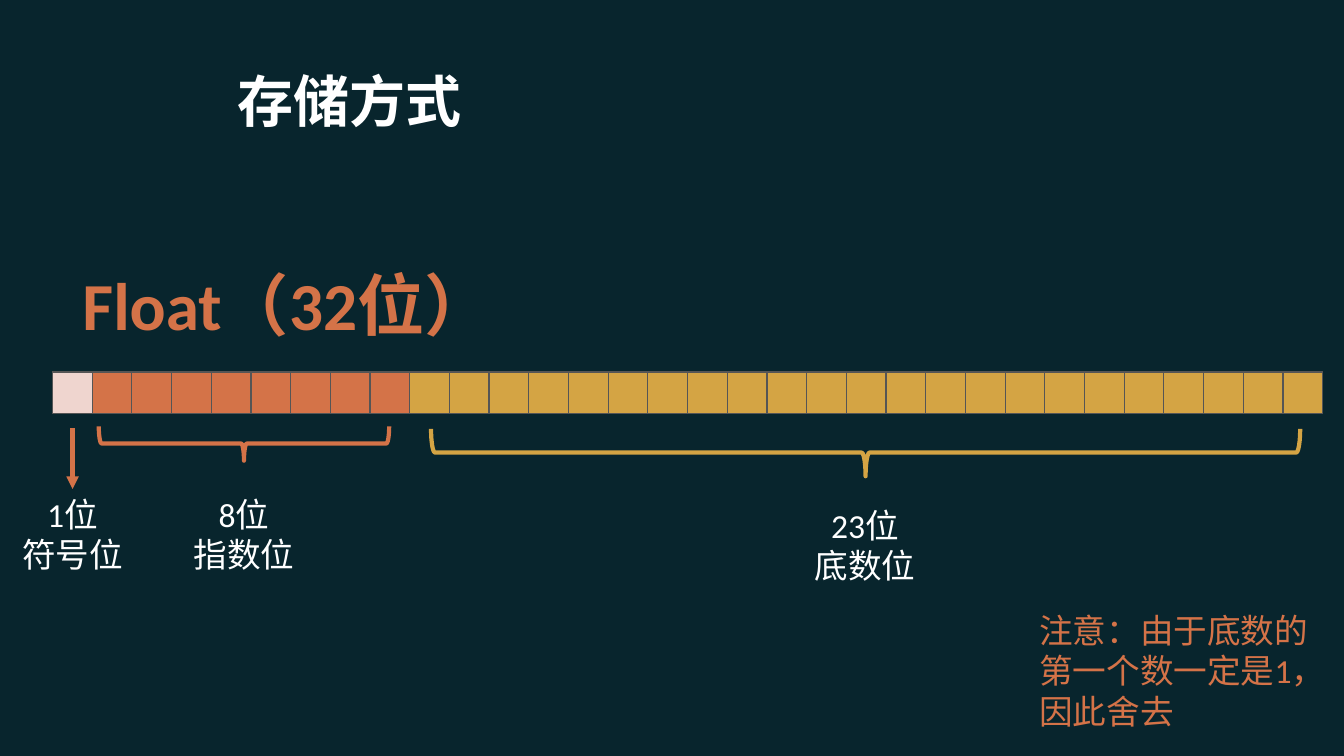
from lxml import etree
from pptx import Presentation
from pptx.dml.color import RGBColor
from pptx.enum.shapes import MSO_CONNECTOR, MSO_SHAPE
from pptx.enum.text import MSO_ANCHOR, MSO_AUTO_SIZE, PP_ALIGN
from pptx.oxml import parse_xml
from pptx.oxml.ns import nsdecls, qn
from pptx.util import Inches, Pt

COLORS = {"background": "08252D", "text": "FFFFFF", "grid": "555555",
          "sign": "EFD5CF", "exponent": "D47348", "mantissa": "D4A444"}
RGB = {name: RGBColor.from_string(value) for name, value in COLORS.items()}


def write(frame, lines, size, color, bold=False, align=PP_ALIGN.LEFT, font="Calibri"):
    """Fill a text frame with one styled paragraph per line."""
    frame.word_wrap = True
    for index, line in enumerate(lines):
        paragraph = frame.paragraphs[0] if index == 0 else frame.add_paragraph()
        paragraph.alignment = align
        run = paragraph.add_run()
        run.text = line
        run.font.size, run.font.bold, run.font.name = Pt(size), bold, font
        run.font.color.rgb = RGB[color]


def add_text(left, top, width, height, lines, size, color, **style):
    """Add a text box that grows with its text and return its frame."""
    box = slide.shapes.add_textbox(Inches(left), Inches(top), Inches(width), Inches(height))
    write(box.text_frame, lines, size, color, **style)
    box.text_frame.auto_size = MSO_AUTO_SIZE.SHAPE_TO_FIT_TEXT
    return box.text_frame


prs = Presentation()
prs.slide_width, prs.slide_height = Inches(13.33), Inches(7.5)
slide = prs.slides.add_slide(prs.slide_layouts[5])
slide.background.fill.solid()
slide.background.fill.fore_color.rgb = RGB["background"]

title = slide.shapes.title
title.left, title.top = Inches(2.26), Inches(0.6)
title.width, title.height = Inches(7.95), Inches(0.79)
title.text_frame.vertical_anchor = MSO_ANCHOR.MIDDLE
write(title.text_frame, ["存储方式"], 40, "text", bold=True, font="Roboto")

heading = add_text(0.72, 2.16, 4.76, 1.17, ["Float（32位）"], 48, "exponent", bold=True)
heading.paragraphs[0].line_spacing = 1.5

# One table cell per bit
bits = ["sign"] + ["exponent"] * 8 + ["mantissa"] * 23
table = slide.shapes.add_table(1, len(bits), Inches(0.52), Inches(3.69),
                               Inches(12.6), Inches(0.41)).table
table.first_row = table.horz_banding = False
for column, (cell, field) in enumerate(zip(table.rows[0].cells, bits)):
    table.columns[column].width = Inches(12.6 / len(bits))
    cell.margin_left = cell.margin_right = 0
    properties = cell._tc.get_or_add_tcPr()
    for side in ("lnL", "lnR", "lnT", "lnB"):
        properties.append(parse_xml(
            f'<a:{side} {nsdecls("a")} w="12700"><a:solidFill>'
            f'<a:srgbClr val="{COLORS["grid"]}"/></a:solidFill></a:{side}>'))
    cell.fill.solid()
    cell.fill.fore_color.rgb = RGB[field]

sign_arrow = slide.shapes.add_connector(MSO_CONNECTOR.STRAIGHT, Inches(0.72), Inches(4.25),
                                        Inches(0.72), Inches(4.85))
sign_arrow.line.color.rgb = RGB["exponent"]
sign_arrow.line.width = Pt(3)
etree.SubElement(sign_arrow.line._get_or_add_ln(), qn("a:tailEnd"), type="triangle")
etree.SubElement(sign_arrow._element.spPr, qn("a:effectLst"))

# Left braces turned so that they point down at the labels
for left, top, width, height, field in [(2.25, 2.96, 0.34, 2.88, "exponent"),
                                        (8.35, 0.18, 0.47, 8.62, "mantissa")]:
    brace = slide.shapes.add_shape(MSO_SHAPE.LEFT_BRACE, Inches(left), Inches(top),
                                   Inches(width), Inches(height))
    brace.rotation = 270
    brace.shadow.inherit = False
    brace.fill.background()
    brace.line.color.rgb = RGB[field]
    brace.line.width = Pt(3)

for left, top, count, name in [(0.12, 4.85, "1位", "符号位"),
                               (1.82, 4.85, "8位", "指数位"),
                               (7.98, 4.96, "23位", "底数位")]:
    add_text(left, top, 1.2, 0.91, [count, name], 24, "text", align=PP_ALIGN.CENTER)

add_text(10.21, 6, 3.1, 1.31, ["注意：由于底数的第一个数一定是1，因此舍去"], 24, "exponent")

prs.save("out.pptx")
